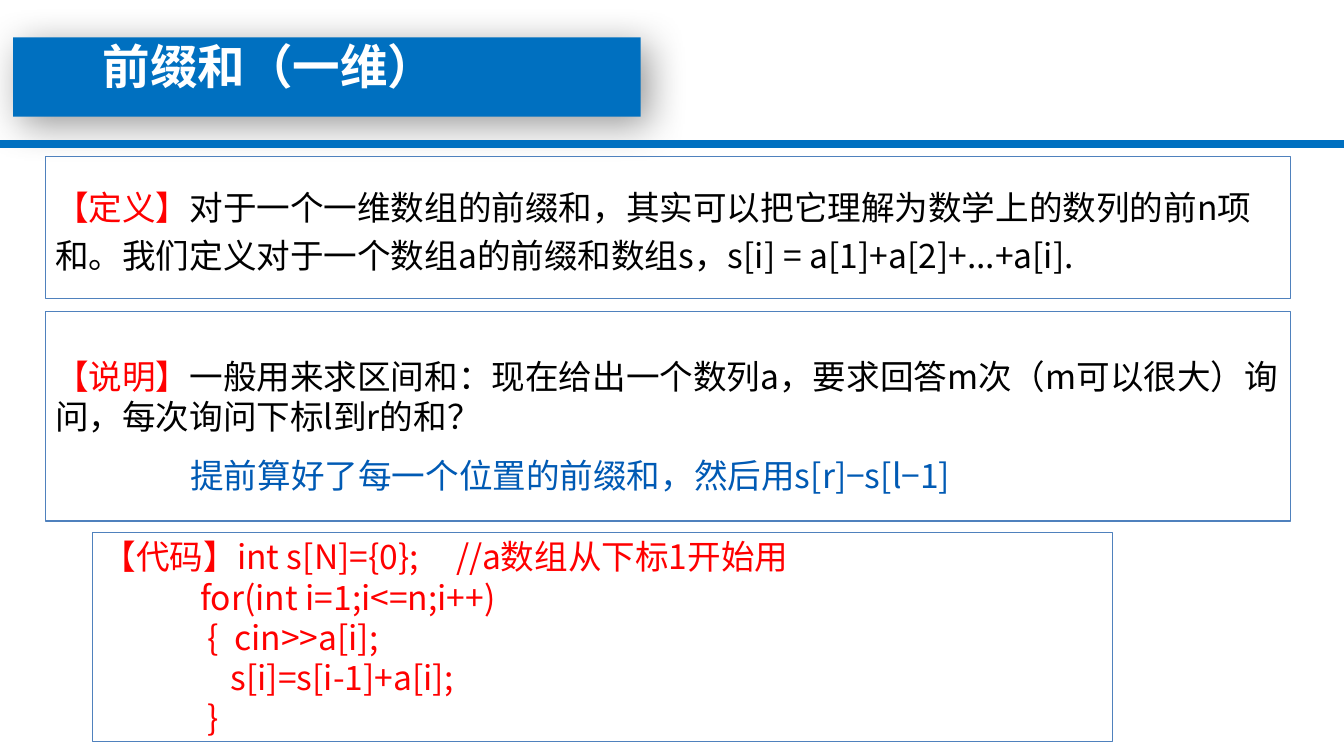
"""Build the slide on one-dimensional prefix sums."""
from dataclasses import dataclass

from lxml import etree
from pptx import Presentation, util as u
from pptx.dml.color import RGBColor
from pptx.enum import shapes, text
from pptx.oxml.ns import qn


@dataclass(frozen=True)
class Theme:
    """Colours, font and type sizes of the slide."""
    font: str = "Noto Sans CJK SC"
    title_size: int = 34
    body_size: int = 24
    banner: str = "0070C0"
    border: str = "4F81BD"
    title: str = "FFFFFF"
    body: str = "000000"
    accent: str = "FF0000"
    answer: str = "005AB4"
    shadow: str = "000000"


class SlideBuilder:
    """Hold the theme and the current slide, and add elements to it."""

    def __init__(self, slide, theme):
        """Keep the slide and its theme."""
        self.slide, self.theme = slide, theme

    def rectangle(self, box):
        """Add a plain rectangle without shadow."""
        shape = self.slide.shapes.add_shape(
            shapes.MSO_SHAPE.RECTANGLE, *map(u.Cm, box))
        shape.shadow.inherit = False
        return shape

    def bar(self, box):
        """Add a solid bar in the banner colour."""
        shape = self.rectangle(box)
        shape.fill.solid()
        shape.fill.fore_color.rgb = RGBColor.from_string(self.theme.banner)
        shape.line.fill.background()
        return shape

    def cast_shadow(self, shape):
        """Give a shape a soft shadow to the lower right."""
        effects = shape._element.spPr.find(qn("a:effectLst"))
        shadow = etree.SubElement(
            effects, qn("a:outerShdw"), blurRad=str(u.Pt(28)),
            dist=str(u.Pt(8)), dir=str(45 * 60000), algn="tl", rotWithShape="0")
        colour = etree.SubElement(shadow, qn("a:srgbClr"), val=self.theme.shadow)
        etree.SubElement(colour, qn("a:alpha"), val="40000")

    def style(self, paragraph, size, colour, bold=False):
        """Set the font of a whole paragraph, East Asian letters included."""
        font = paragraph.font
        font.size, font.bold, font.name = u.Pt(size), bold, self.theme.font
        font.color.rgb = RGBColor.from_string(colour)
        defaults = paragraph._p.pPr.find(qn("a:defRPr"))
        latin = defaults.find(qn("a:latin"))
        latin.addnext(latin.makeelement(qn("a:ea"), typeface=self.theme.font))

    def label(self, box, words, size, colour, bold=False):
        """Add a one-line text box."""
        shape = self.slide.shapes.add_textbox(*map(u.Cm, box))
        frame = shape.text_frame
        frame.word_wrap = True
        paragraph = frame.paragraphs[0]
        paragraph.text = words
        self.style(paragraph, size, colour, bold)
        return frame

    def panel(self, box):
        """Add an outlined box and return its text frame."""
        shape = self.rectangle(box)
        shape.fill.background()
        shape.line.color.rgb = RGBColor.from_string(self.theme.border)
        shape.line.width = u.Pt(0.75)
        frame = shape.text_frame
        frame.word_wrap = True
        frame.vertical_anchor = text.MSO_ANCHOR.MIDDLE
        return frame

    def note(self, box, tag, words, line_spacing=1.0, bottom=0.13):
        """Add a panel with a coloured tag in front of its text."""
        frame = self.panel(box)
        frame.margin_bottom = u.Cm(bottom)
        paragraph = frame.paragraphs[0]
        paragraph.alignment = text.PP_ALIGN.LEFT
        paragraph.line_spacing = line_spacing
        tag_run = paragraph.add_run()
        tag_run.text = tag
        paragraph.add_run().text = words
        self.style(paragraph, self.theme.body_size, self.theme.body)
        tag_run.font.color.rgb = RGBColor.from_string(self.theme.accent)

    def code(self, box, lines):
        """Add a panel with one paragraph per line of code."""
        frame = self.panel(box)
        frame.text = "\n".join(lines)
        for paragraph in frame.paragraphs:
            paragraph.alignment = text.PP_ALIGN.LEFT
            self.style(paragraph, self.theme.body_size, self.theme.accent)


def main():
    """Build and save the presentation."""
    presentation = Presentation()
    presentation.slide_width, presentation.slide_height = u.Cm(33.88), u.Cm(19.05)
    slide = presentation.slides.add_slide(presentation.slide_layouts[6])
    theme = Theme()
    builder = SlideBuilder(slide, theme)

    builder.cast_shadow(builder.bar((0.33, 0.94, 15.82, 2)))
    builder.bar((0, 3.53, 33.88, 0.2))
    title = builder.label((2.34, 0.69, 9.7, 1.9), "前缀和（一维）",
                          theme.title_size, theme.title, bold=True)
    title.vertical_anchor = text.MSO_ANCHOR.MIDDLE

    builder.note(
        (1.14, 3.94, 31.39, 3.58), "【定义】",
        "对于一个一维数组的前缀和，其实可以把它理解为数学上的数列的前n项和。"
        "我们定义对于一个数组a的前缀和数组s，s[i] = a[1]+a[2]+...+a[i].",
        line_spacing=1.2)
    builder.note(
        (1.14, 7.85, 31.39, 5.28), "【说明】",
        "一般用来求区间和：现在给出一个数列a，要求回答m次（m可以很大）询问，"
        "每次询问下标l到r的和？",
        bottom=1.15)
    builder.label((4.55, 11.33, 23.11, 1.27),
                  "提前算好了每一个位置的前缀和，然后用s[r]−s[l−1]",
                  theme.body_size, theme.answer)
    builder.code((2.34, 13.41, 25.7, 5.28), (
        "【代码】int s[N]={0};     //a数组从下标1开始用",
        "             for(int i=1;i<=n;i++)",
        "              {  cin>>a[i];",
        "                 s[i]=s[i-1]+a[i];",
        "              }"))
    presentation.save("out.pptx")


if __name__ == "__main__":
    main()
